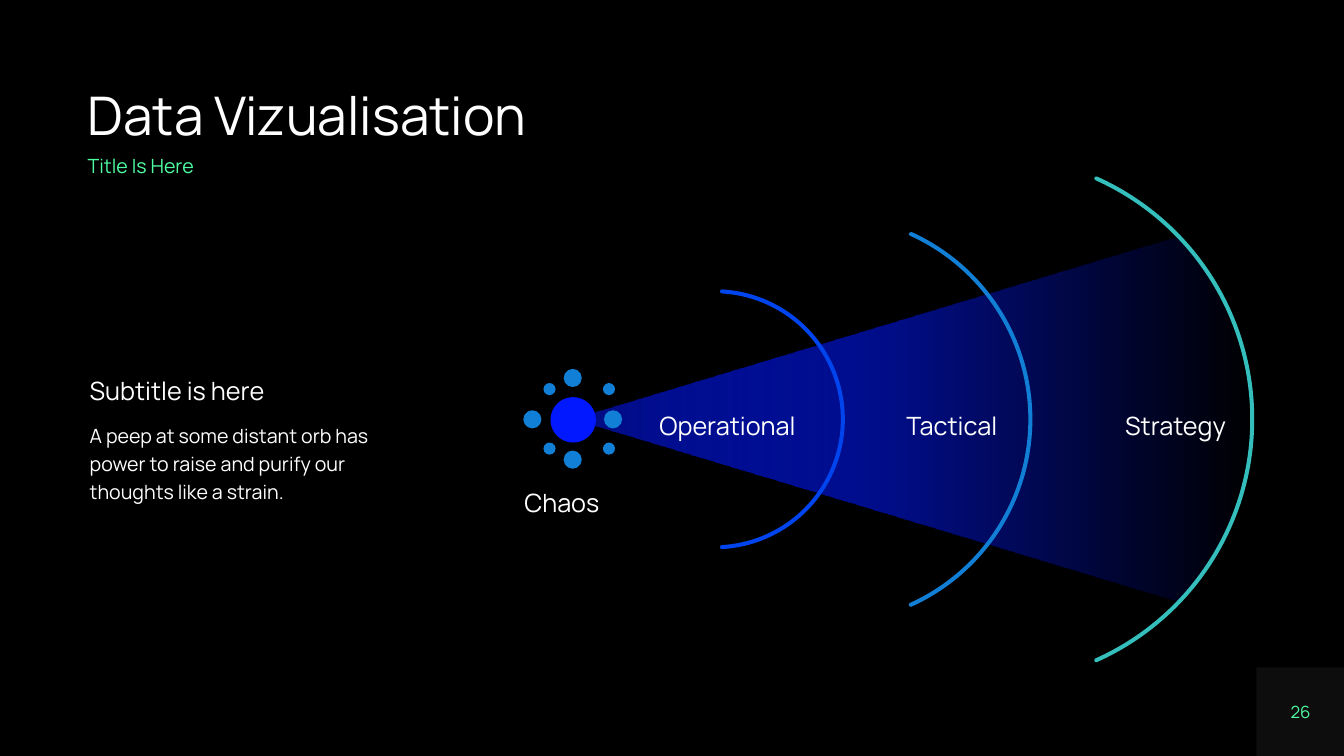
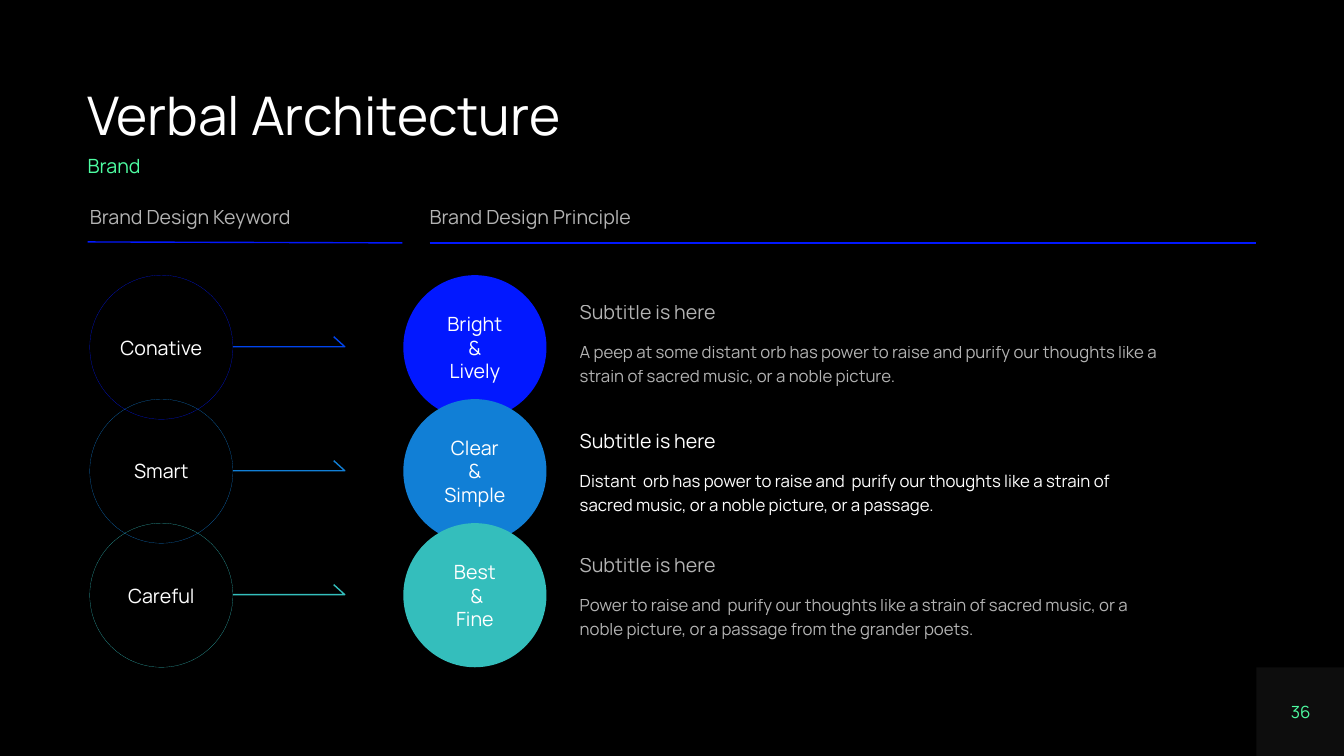
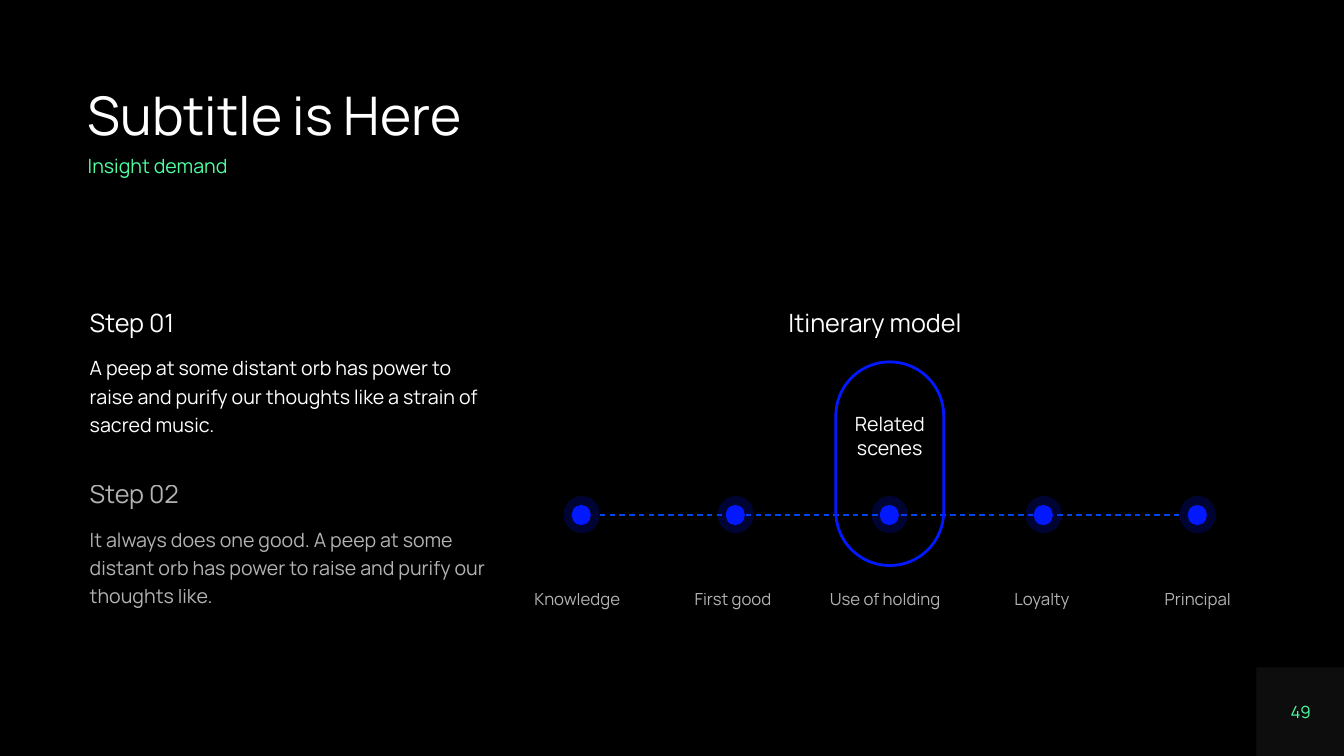
import math

from lxml import etree
from pptx import Presentation
from pptx import util as u
from pptx.dml.color import RGBColor
from pptx.enum import dml, shapes, text
from pptx.oxml.ns import qn

FONT = "Manrope"
COLORS = {
    "black": "000000",
    "white": "FFFFFF",
    "gray": "808080",
    "green": "4EFDA2",
    "blue": "0218FF",
    "royal": "0044ED",
    "navy": "010D87",
    "sky": "117FD6",
    "teal": "34BEBC",
}
LEFT, CENTER = text.PP_ALIGN.LEFT, text.PP_ALIGN.CENTER
OVAL = shapes.MSO_SHAPE.OVAL


def style_shape(shape, fill=None, line=None, width=1, opacity=100):
    shape.shadow.inherit = False
    if fill:
        shape.fill.solid()
        shape.fill.fore_color.rgb = RGBColor.from_string(COLORS[fill])
        if opacity < 100:
            color = shape._element.spPr.find(qn("a:solidFill"))[0]
            etree.SubElement(color, qn("a:alpha"), val=str(opacity * 1000))
    else:
        shape.fill.background()
    if line:
        shape.line.color.rgb = RGBColor.from_string(COLORS[line])
        shape.line.width = u.Pt(width)
    else:
        shape.line.fill.background()


def write(shape, lines, color="white", opacity=100, align=LEFT, leading=1.2,
          gap=10, wrap=True, anchor=text.MSO_ANCHOR.TOP, top=0):
    frame = shape.text_frame
    frame.margin_left = frame.margin_right = frame.margin_bottom = 0
    frame.margin_top = u.Inches(top)
    frame.word_wrap = wrap
    frame.vertical_anchor = anchor
    for index, (words, size) in enumerate(lines):
        para = frame.add_paragraph() if index else frame.paragraphs[0]
        para.alignment = align
        para.line_spacing = leading
        para.space_before = u.Pt(gap if index else 0)
        span = para.add_run()
        span.text = words
        span.font.name = FONT
        span.font.size = u.Pt(size)
        span.font.color.rgb = RGBColor.from_string(COLORS[color])
        if opacity < 100:
            fill = span._r.rPr.find(qn("a:solidFill"))[0]
            etree.SubElement(fill, qn("a:alpha"), val=str(opacity * 1000))


deck = Presentation()
deck.slide_width, deck.slide_height = u.Inches(13.33), u.Inches(7.5)
background = deck.slide_master.background.fill
background.solid()
background.fore_color.rgb = RGBColor.from_string(COLORS["black"])
blank = deck.slide_layouts[6]

pages = []
for title, subtitle, number in [
    ("Data Vizualisation", "Title Is Here", "26"),
    ("Verbal Architecture", "Brand", "36"),
    ("Subtitle is Here", "Insight demand", "49"),
]:
    page = deck.slides.add_slide(blank)
    pages.append(page)
    box = page.shapes.add_textbox(u.Inches(0.87), u.Inches(0.89), u.Inches(11.59), u.Inches(0.58))
    write(box, [(title, 38)], leading=0.9)
    box = page.shapes.add_textbox(u.Inches(0.87), u.Inches(1.55), u.Inches(2.1), u.Inches(0.21))
    write(box, [(subtitle, 14)], color="green", leading=0.9)
    box = page.shapes.add_textbox(u.Inches(12.78), u.Inches(6.96), u.Inches(0.24), u.Inches(0.2))
    write(box, [(number, 12)], color="green", align=CENTER, leading=1, wrap=False,
          anchor=text.MSO_ANCHOR.MIDDLE)
radar, architecture, journey = pages

corner = radar.shapes.add_shape(
    shapes.MSO_SHAPE.RECTANGLE,
    u.Inches(12.46), u.Inches(6.62), u.Inches(0.88), u.Inches(0.88))
style_shape(corner, fill="gray", opacity=10)
blank.shapes._spTree.append(corner._element)

for page, x1, y1, x2, y2, color, dash in [
    (architecture, 0.87, 2.4, 3.99, 2.41, "blue", None),
    (architecture, 4.26, 2.41, 12.46, 2.41, "blue", None),
    (journey, 5.95, 5.11, 11.7, 5.11, "royal", dml.MSO_LINE.DASH),
]:
    rule = page.shapes.add_connector(
        shapes.MSO_CONNECTOR.STRAIGHT, u.Inches(x1), u.Inches(y1), u.Inches(x2), u.Inches(y2))
    rule.line.color.rgb = RGBColor.from_string(COLORS[color])
    rule.line.width = u.Pt(1)
    rule.line.dash_style = dash
    etree.SubElement(rule._element.spPr, qn("a:effectLst"))

CORE_X, AXIS_Y = 5.68, 4.16
HALF_BAND = 0.02
beam_reach = math.asin(1.81 / 2.61)
outlines = [("black", [(CORE_X, AXIS_Y)], [(9.8, AXIS_Y, 2.61, -beam_reach, beam_reach, 4)])]
for color, center_x, radius, half_height in [
    ("teal", 9.8, 2.62, 2.39), ("sky", 8.2, 2.02, 1.84), ("royal", 7.09, 1.27, 1.268),
]:
    reach = math.asin(half_height / radius)
    tip_x = center_x + radius * math.cos(reach)
    outlines.append((color, [], [
        (center_x, AXIS_Y, radius + HALF_BAND, -reach, reach, 4),
        (tip_x, AXIS_Y + half_height, HALF_BAND, reach, reach + math.pi, 2),
        (center_x, AXIS_Y, radius - HALF_BAND, reach, -reach, 4),
        (tip_x, AXIS_Y - half_height, HALF_BAND, math.pi - reach, 2 * math.pi - reach, 2),
    ]))

sweeps = []
for color, points, arcs in outlines:
    straight = len(points)
    for arc_index, (center_x, center_y, radius, begin, end, pieces) in enumerate(arcs):
        step = (end - begin) / pieces
        pull = 4 / 3 * math.tan(step / 4)
        for piece in range(pieces):
            a, b = begin + piece * step, begin + (piece + 1) * step
            nodes = [
                (math.cos(a), math.sin(a)),
                (math.cos(a) - pull * math.sin(a), math.sin(a) + pull * math.cos(a)),
                (math.cos(b) + pull * math.sin(b), math.sin(b) - pull * math.cos(b)),
                (math.cos(b), math.sin(b)),
            ]
            first = 0 if arc_index == piece == 0 else 1
            points += [(center_x + radius * x, center_y + radius * y) for x, y in nodes[first:]]
    corners = [(u.Inches(x), u.Inches(y)) for x, y in points]
    builder = radar.shapes.build_freeform(*corners[0])
    builder.add_line_segments(corners[1:], close=False)
    sweep = builder.convert_to_shape()
    style_shape(sweep, fill=color)
    outline = next(sweep._element.spPr.iter(qn("a:path")))
    segments = outline.findall(qn("a:lnTo"))[straight:]
    for start in range(0, len(segments), 3):
        curve = etree.SubElement(outline, qn("a:cubicBezTo"))
        for segment in segments[start:start + 3]:
            curve.append(segment[0])
            outline.remove(segment)
    etree.SubElement(outline, qn("a:close"))
    sweeps.append(sweep)

beam = sweeps[0]
beam.fill.gradient()
beam.fill.gradient_angle = 0
stops = beam._element.spPr.find(qn("a:gradFill")).find(qn("a:gsLst"))
for stop in list(stops):
    stops.remove(stop)
for position, color, opacity in [(0, "blue", 50), (47, "navy", 100), (100, "black", 100)]:
    stop = etree.SubElement(stops, qn("a:gs"), pos=str(position * 1000))
    shade = etree.SubElement(stop, qn("a:srgbClr"), val=COLORS[color])
    etree.SubElement(shade, qn("a:alpha"), val=str(opacity * 1000))

for x, y, size, color in [
    (5.46, 3.94, 0.45, "blue"),
    (5.59, 3.66, 0.18, "sky"),
    (5.99, 4.07, 0.18, "sky"),
    (5.59, 4.47, 0.18, "sky"),
    (5.19, 4.07, 0.18, "sky"),
    (5.39, 3.8, 0.12, "sky"),
    (5.98, 3.8, 0.12, "sky"),
    (5.39, 4.39, 0.12, "sky"),
    (5.98, 4.39, 0.12, "sky"),
]:
    dot = radar.shapes.add_shape(OVAL, u.Inches(x), u.Inches(y), u.Inches(size), u.Inches(size))
    style_shape(dot, fill=color)

for label, x, y, width in [
    ("Strategy", 11.16, 4.01, 1.13),
    ("Tactical", 8.99, 4.01, 1.05),
    ("Operational", 6.54, 4.01, 1.56),
    ("Chaos", 5.2, 4.77, 0.84),
]:
    box = radar.shapes.add_textbox(u.Inches(x), u.Inches(y), u.Inches(width), u.Inches(0.34))
    write(box, [(label, 18)], wrap=False)

for row, (keyword, principle, color, arrow_color) in enumerate([
    ("Conative", ["Bright", "&", "Lively"], "blue", "royal"),
    ("Smart", ["Clear", "&", "Simple"], "sky", "sky"),
    ("Careful", ["Best", " &", "Fine"], "teal", "teal"),
]):
    y = 2.73 + 1.23 * row
    for x, words, fill, line in [
        (0.89, [keyword], None, color),
        (4, principle, color, None),
    ]:
        circle = architecture.shapes.add_shape(
            OVAL, u.Inches(x), u.Inches(y), u.Inches(1.42), u.Inches(1.43))
        style_shape(circle, fill=fill, line=line, width=0.1)
        write(circle, [(word, 14) for word in words], align=CENTER, leading=1, gap=0,
              anchor=text.MSO_ANCHOR.MIDDLE)
    builder = architecture.shapes.build_freeform(u.Inches(2.31), u.Inches(y + 0.71))
    builder.add_line_segments(
        [(u.Inches(3.42), u.Inches(y + 0.71)), (u.Inches(3.31), u.Inches(y + 0.61))], close=False)
    style_shape(builder.convert_to_shape(), line=arrow_color)

for heading, x in [("Brand Design Keyword", 0.89), ("Brand Design Principle", 4.26)]:
    box = architecture.shapes.add_textbox(u.Inches(x), u.Inches(1.99), u.Inches(3.11), u.Inches(0.27))
    write(box, [(heading, 14)], opacity=70)

for page, x, y, width, height, heading, heading_size, body, body_size, opacity in [
    (radar, 0.89, 3.66, 3.34, 1.34, "Subtitle is here", 18,
     "A peep at some distant orb has power to raise and purify our thoughts like a strain.", 14, 100),
    (architecture, 5.75, 2.93, 5.75, 0.89, "Subtitle is here", 14,
     "A peep at some distant orb has power to raise and purify our thoughts like a "
     "strain of sacred music, or a noble picture.", 12, 70),
    (architecture, 5.75, 4.21, 5.75, 0.83, "Subtitle is here", 14,
     "Distant  orb has power to raise and  purify our thoughts like a strain of "
     "sacred music, or a noble picture, or a passage.", 12, 100),
    (architecture, 5.75, 5.44, 5.82, 0.89, "Subtitle is here", 14,
     "Power to raise and  purify our thoughts like a strain of sacred music, or a "
     "noble picture, or a passage from the grander poets.", 12, 70),
    (journey, 0.89, 2.99, 3.94, 1.34, "Step 01", 18,
     "A peep at some distant orb has power to raise and purify our thoughts like a "
     "strain of sacred music.", 14, 100),
    (journey, 0.89, 4.69, 3.94, 1.34, "Step 02", 18,
     "It always does one good. A peep at some distant orb has power to raise and "
     "purify our thoughts like.", 14, 70),
]:
    box = page.shapes.add_textbox(u.Inches(x), u.Inches(y), u.Inches(width), u.Inches(height))
    write(box, [(heading, heading_size), (body, body_size)], opacity=opacity)

capsule = journey.shapes.add_shape(
    shapes.MSO_SHAPE.ROUNDED_RECTANGLE,
    u.Inches(8.29), u.Inches(3.59), u.Inches(1.07), u.Inches(2.02))
capsule.adjustments[0] = 0.5
style_shape(capsule, line="blue", width=2)
write(capsule, [("Related scenes", 14)], align=CENTER, leading=1, top=0.34)

box = journey.shapes.add_textbox(u.Inches(7.82), u.Inches(2.99), u.Inches(2.01), u.Inches(0.34))
write(box, [("Itinerary model", 18)], wrap=False)

FIRST_STAGE, LAST_STAGE = 5.59, 11.7
for stage, (label, label_x, width) in enumerate([
    ("Knowledge", 5.3, 0.93),
    ("First good", 6.89, 0.83),
    ("Use of holding", 8.23, 1.19),
    ("Loyalty", 10.06, 0.59),
    ("Principal", 11.52, 0.72),
]):
    box = journey.shapes.add_textbox(u.Inches(label_x), u.Inches(5.8), u.Inches(width), u.Inches(0.23))
    write(box, [(label, 12)], opacity=70, wrap=False,
          align=CENTER if label == "Principal" else LEFT)
    x = FIRST_STAGE + (LAST_STAGE - FIRST_STAGE) / 4 * stage
    marker = journey.shapes.add_group_shape()
    for inset, y, size, opacity in [(0, 4.92, 0.37, 20), (0.08, 5.01, 0.2, 100)]:
        disc = marker.shapes.add_shape(
            OVAL, u.Inches(x + inset), u.Inches(y), u.Inches(size - 0.01), u.Inches(size))
        style_shape(disc, fill="blue", opacity=opacity)

deck.save("out.pptx")
